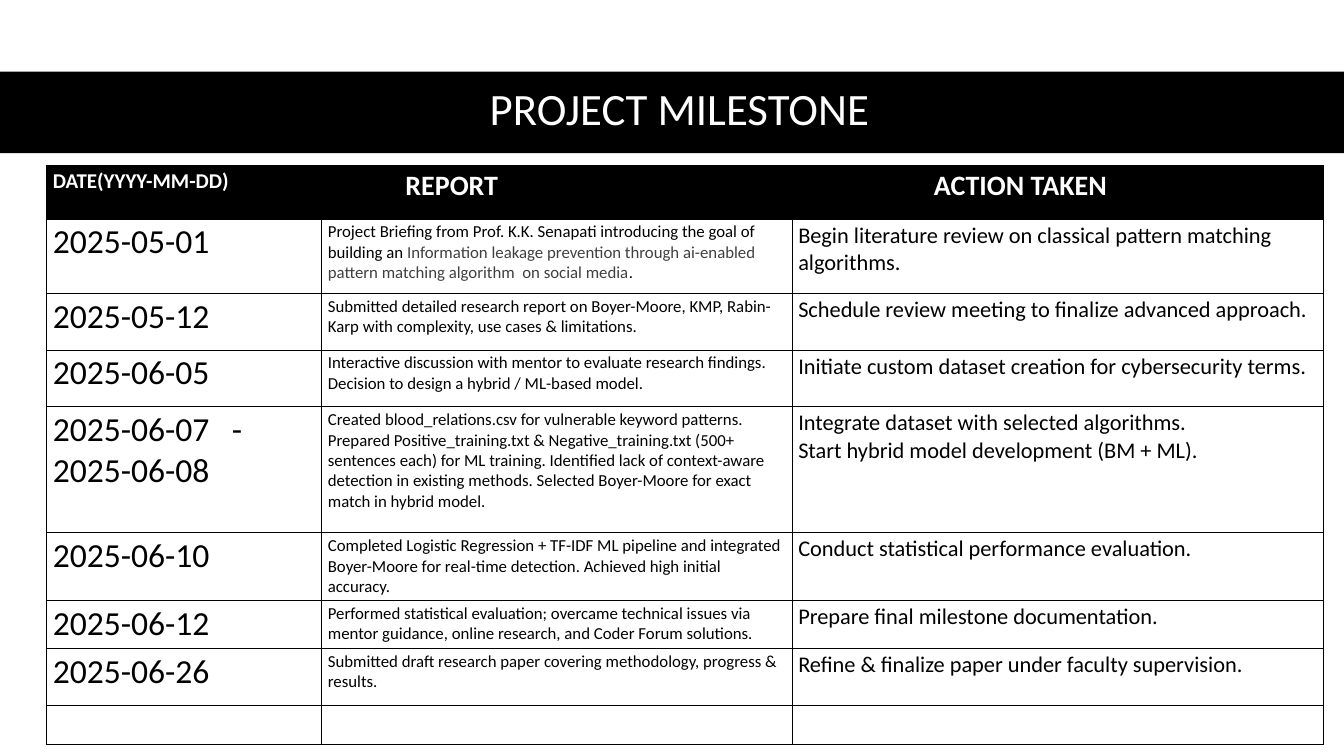
from lxml import etree
from pptx import Presentation
from pptx.dml.color import RGBColor
from pptx.enum.shapes import MSO_SHAPE
from pptx.enum.text import MSO_ANCHOR, PP_ALIGN
from pptx.oxml import parse_xml
from pptx.oxml.ns import nsdecls, qn
from pptx.util import Pt

RECTANGLE = MSO_SHAPE.RECTANGLE
MIDDLE, TOP = MSO_ANCHOR.MIDDLE, MSO_ANCHOR.TOP
CENTER, LEFT = PP_ALIGN.CENTER, PP_ALIGN.LEFT
TITLE_ONLY = 5
BLACK, WHITE, GREY = "000000", "FFFFFF", "404040"
FONT = "Calibri"
DATE_SIZE, REPORT_SIZE, ACTION_SIZE = 24, 12, 16
DASH_TAB = 128

COLUMN_WIDTHS = [196.5, 336, 380]
ROW_HEIGHTS = [38.3, 53.2, 40.4, 40.4, 90, 47.5, 34.3, 40.4, 28.2]

# Heading, size, left margin
HEADINGS = [
    ("DATE(YYYY-MM-DD)", 15, 4.6),
    ("REPORT", 20, 60),
    ("ACTION TAKEN", 20, 101.5),
]

# Date, report as (text, colour) spans, actions as paragraphs
MILESTONES = [
    ("2025-05-01",
     [("Project Briefing from Prof. K.K. Senapati introducing the goal of building an ", BLACK),
      ("Information leakage prevention through ai-enabled pattern matching algorithm  on social media", GREY),
      (".", BLACK)],
     ["Begin literature review on classical pattern matching algorithms."]),
    ("2025-05-12",
     [("Submitted detailed research report on Boyer-Moore, KMP, Rabin-Karp with complexity, "
       "use cases & limitations.", BLACK)],
     ["Schedule review meeting to finalize advanced approach."]),
    ("2025-06-05",
     [("Interactive discussion with mentor to evaluate research findings. "
       "Decision to design a hybrid / ML-based model.", BLACK)],
     ["Initiate custom dataset creation for cybersecurity terms."]),
    ("2025-06-07\t- 2025-06-08",
     [("Created blood_relations.csv for vulnerable keyword patterns. "
       "Prepared Positive_training.txt & Negative_training.txt (500+ sentences each) for ML training. "
       "Identified lack of context-aware detection in existing methods. "
       "Selected Boyer-Moore for exact match in hybrid model.", BLACK)],
     ["Integrate dataset with selected algorithms.",
      "Start hybrid model development (BM + ML)."]),
    ("2025-06-10",
     [("Completed Logistic Regression + TF-IDF ML pipeline and integrated Boyer-Moore "
       "for real-time detection. Achieved high initial accuracy.", BLACK)],
     ["Conduct statistical performance evaluation."]),
    ("2025-06-12",
     [("Performed statistical evaluation; overcame technical issues via mentor guidance, "
       "online research, and Coder Forum solutions.", BLACK)],
     ["Prepare final milestone documentation."]),
    ("2025-06-26",
     [("Submitted draft research paper covering methodology, progress & results.", BLACK)],
     ["Refine & finalize paper under faculty supervision."]),
]


def color(hex_code):
    return RGBColor.from_string(hex_code)


def paint(item, hex_code):
    item.fill.solid()
    item.fill.fore_color.rgb = color(hex_code)


def add_span(para, text, size=12, hex_code=BLACK, bold=False, align=LEFT):
    para.alignment = align
    span = para.add_run()
    span.text = text
    span.font.name = FONT
    span.font.size = Pt(size)
    span.font.bold = bold
    span.font.color.rgb = color(hex_code)


def add_tab_stop(para, position):
    properties = para._p.get_or_add_pPr()
    stops = etree.SubElement(properties, qn("a:tabLst"))
    etree.SubElement(stops, qn("a:tab"), pos=str(Pt(position)), algn="l")


def add_borders(cell):
    properties = cell._tc.get_or_add_tcPr()
    for side in "LRTB":
        properties.append(parse_xml(
            f'<a:ln{side} {nsdecls("a")} w="{Pt(0.5)}"><a:solidFill>'
            f'<a:srgbClr val="{BLACK}"/></a:solidFill></a:ln{side}>'))


def add_title(slide):
    bar = slide.shapes.add_shape(RECTANGLE, Pt(0), Pt(51.2), Pt(960), Pt(58.2))
    bar.shadow.inherit = False
    paint(bar, BLACK)
    bar.line.fill.background()
    title = slide.shapes.title
    title.element.addprevious(bar.element)
    title.left, title.top, title.width, title.height = Pt(44), Pt(50.4), Pt(882.7), Pt(58.3)
    title.text_frame.vertical_anchor = MIDDLE
    para = title.text_frame.paragraphs[0]
    para.line_spacing = 0.9
    add_span(para, "PROJECT MILESTONE", size=32, hex_code=WHITE, align=CENTER)


def add_grid(slide):
    """Add the empty bordered table with its header row in black."""
    frame = slide.shapes.add_table(
        len(ROW_HEIGHTS), len(COLUMN_WIDTHS), Pt(33.1), Pt(118),
        Pt(sum(COLUMN_WIDTHS)), Pt(sum(ROW_HEIGHTS)))
    table = frame.table
    table.horz_banding = False
    for column, width in zip(table.columns, COLUMN_WIDTHS):
        column.width = Pt(width)
    for index, (row, height) in enumerate(zip(table.rows, ROW_HEIGHTS)):
        row.height = Pt(height)
        for cell in row.cells:
            cell.margin_left = cell.margin_right = Pt(4.6)
            cell.margin_top = cell.margin_bottom = Pt(2.3)
            cell.vertical_anchor = TOP
            add_borders(cell)
            paint(cell, WHITE if index else BLACK)
    return table


def fill_header(table):
    for cell, (heading, size, margin) in zip(table.rows[0].cells, HEADINGS):
        cell.margin_left = Pt(margin)
        add_span(cell.text_frame.paragraphs[0], heading, size=size, hex_code=WHITE, bold=True)


def fill_milestone(row, date, report, actions):
    date_box, report_box, action_box = [cell.text_frame for cell in row.cells]
    date_para = date_box.paragraphs[0]
    if "\t" in date:
        add_tab_stop(date_para, DASH_TAB)
    add_span(date_para, date, size=DATE_SIZE)
    for text, hex_code in report:
        add_span(report_box.paragraphs[0], text, size=REPORT_SIZE, hex_code=hex_code)
    for index, action in enumerate(actions):
        para = action_box.add_paragraph() if index else action_box.paragraphs[0]
        add_span(para, action, size=ACTION_SIZE)


def main():
    deck = Presentation()
    deck.slide_width, deck.slide_height = Pt(960), Pt(540)
    slide = deck.slides.add_slide(deck.slide_layouts[TITLE_ONLY])
    add_title(slide)
    table = add_grid(slide)
    fill_header(table)
    for index, milestone in enumerate(MILESTONES, start=1):
        fill_milestone(table.rows[index], *milestone)
    deck.save("out.pptx")


if __name__ == "__main__":
    main()
